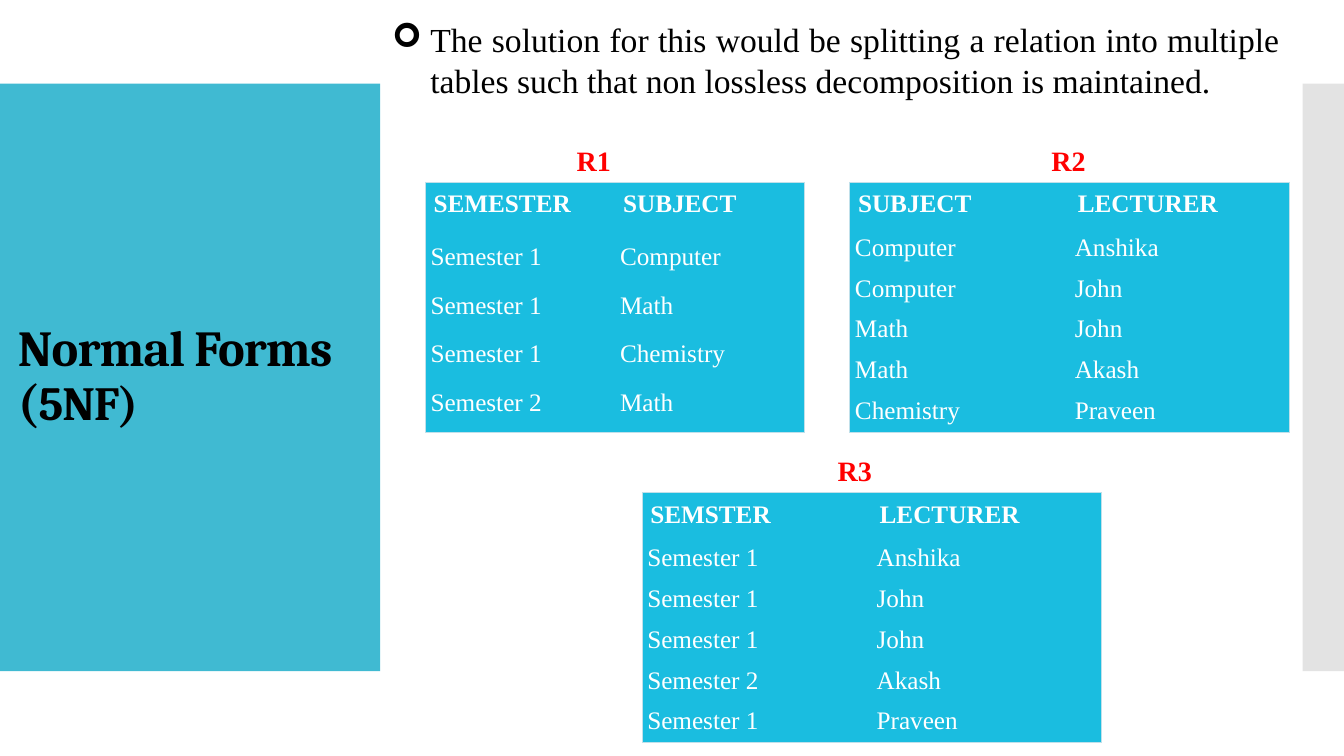
import pptx
import pptx.util
import pptx.dml.color
import pptx.enum.shapes
import pptx.enum.text
import pptx.oxml
import pptx.oxml.ns
from lxml import etree

Inches, Pt = pptx.util.Inches, pptx.util.Pt
RGBColor = pptx.dml.color.RGBColor
ANCHOR, ALIGN = pptx.enum.text.MSO_ANCHOR, pptx.enum.text.PP_ALIGN
qn = pptx.oxml.ns.qn

# Content
TITLE = [("Normal Forms\v(", 36), ("5NF)", 34)]
SOLUTION = ("The solution for this would be splitting a relation into multiple "
            "tables such that non lossless decomposition is maintained.")
# Each relation: name, label left and width, table left, top and width, header height, rows
RELATIONS = [
    ("R1", 5.62, 0.75, 4.22, 1.81, 3.76, 0.55, [
        ("SEMESTER", "SUBJECT"),
        ("Semester 1", "Computer"),
        ("Semester 1", "Math"),
        ("Semester 1", "Chemistry"),
        ("Semester 2", "Math"),
    ]),
    ("R2", 10.33, 0.59, 8.43, 1.81, 4.36, 0.46, [
        ("SUBJECT", "LECTURER"),
        ("Computer", "Anshika"),
        ("Computer", "John"),
        ("Math", "John"),
        ("Math", "Akash"),
        ("Chemistry", "Praveen"),
    ]),
    ("R3", 8.21, 0.69, 6.37, 4.89, 4.55, 0.46, [
        ("SEMSTER", "LECTURER"),
        ("Semester 1", "Anshika"),
        ("Semester 1", "John"),
        ("Semester 1", "John"),
        ("Semester 2", "Akash"),
        ("Semester 1", "Praveen"),
    ]),
]
TABLE_HEIGHT = 2.48
LABEL_HEIGHT = 0.44

# Look
SERIF, HEADING = "Times New Roman", "Cambria"
BLACK = RGBColor(0x00, 0x00, 0x00)
WHITE = RGBColor(0xFF, 0xFF, 0xFF)
RED = RGBColor(0xFF, 0x00, 0x00)
TEAL = RGBColor(0x40, 0xBA, 0xD2)
GRAY = RGBColor(0xC8, 0xC8, 0xC8)
CYAN = RGBColor(0x1A, 0xBD, 0xE0)
BORDER = RGBColor(0xC0, 0xE0, 0xEA)


def add_span(para, text, size=18, font=SERIF, color=BLACK, bold=False, spacing=None):
    """Add formatted text; a vertical tab becomes a line break."""
    for number, line in enumerate(text.split("\v")):
        if number:
            para.add_line_break()
        span = para.add_run()
        span.text = line
        span.font.size = Pt(size)
        span.font.name = font
        span.font.bold = bold
        span.font.color.rgb = color
        if spacing is not None:
            span.font._element.set("spc", str(round(spacing * 100)))


def add_box(page, left, top, width, height, anchor=ANCHOR.TOP):
    box = page.shapes.add_textbox(Inches(left), Inches(top), Inches(width), Inches(height))
    box.text_frame.word_wrap = True
    box.text_frame.vertical_anchor = anchor
    return box.text_frame.paragraphs[0]


def add_panel(page, left, width, color):
    panel = page.shapes.add_shape(pptx.enum.shapes.MSO_SHAPE.RECTANGLE, Inches(left),
                                  Inches(0.83), Inches(width), Inches(5.83))
    panel.shadow.inherit = False
    panel.fill.solid()
    panel.fill.fore_color.rgb = color
    panel.line.fill.background()
    return panel


def set_borders(cell, visible):
    """Draw the visible sides (letters of LRTB) and clear the others."""
    properties = cell._tc.get_or_add_tcPr()
    for place, side in enumerate("LRTB"):
        line = etree.Element(qn("a:ln" + side), w=str(Pt(0.75)))
        if side in visible:
            fill = etree.SubElement(line, qn("a:solidFill"))
            etree.SubElement(fill, qn("a:srgbClr"), val=str(BORDER))
        else:
            etree.SubElement(line, qn("a:noFill"))
        properties.insert(place, line)


def add_relation(page, left, top, width, header_height, rows):
    last_row, last_column = len(rows) - 1, len(rows[0]) - 1
    table = page.shapes.add_table(len(rows), len(rows[0]), Inches(left), Inches(top),
                                  Inches(width), Inches(TABLE_HEIGHT)).table
    table.horz_banding = False
    for column in table.columns:
        column.width = Inches(width / len(rows[0]))
    for r, values in enumerate(rows):
        header = r == 0
        table.rows[r].height = Inches(
            header_height if header else (TABLE_HEIGHT - header_height) / last_row)
        for c, value in enumerate(values):
            cell = table.cell(r, c)
            inset = Inches(0.08 if header else 0.05)
            cell.margin_left = cell.margin_right = inset
            cell.margin_top = cell.margin_bottom = inset
            cell.fill.solid()
            cell.fill.fore_color.rgb = CYAN
            sides = "L" * (c == 0) + "R" * (c == last_column)
            set_borders(cell, sides + "T" * header + "B" * (r == last_row))
            add_span(cell.text_frame.paragraphs[0], value, color=WHITE, bold=header)


deck = pptx.Presentation()
deck.slide_width, deck.slide_height = Inches(13.33), Inches(7.5)
page = deck.slides.add_slide(deck.slide_layouts[6])

# Side panels, the right one half transparent
add_panel(page, 0, 3.77, TEAL)
right_panel = add_panel(page, 12.92, 0.41, GRAY)
gray_fill = right_panel._element.spPr.find(qn("a:solidFill"))
etree.SubElement(gray_fill[0], qn("a:alpha"), val="50000")

# Title
para = add_box(page, 0.08, 1.23, 3.6, 5.03, ANCHOR.MIDDLE)
para.line_spacing = 0.9
for text, size in TITLE:
    add_span(para, text, size=size, font=HEADING, bold=True, spacing=-0.6)

# Bulleted solution
para = add_box(page, 3.79, 0.14, 9, 1.31)
para.alignment = ALIGN.JUSTIFY
indents = para._p.get_or_add_pPr()
indents.set("marL", str(Inches(0.38)))
indents.set("indent", str(Inches(-0.38)))
etree.SubElement(indents, qn("a:buFont"), typeface="Wingdings")
etree.SubElement(indents, qn("a:buChar"), char="➢")
add_span(para, SOLUTION, size=24)

# Relations with their labels
for name, label_left, label_width, left, top, width, header_height, rows in RELATIONS:
    add_relation(page, left, top, width, header_height, rows)
    para = add_box(page, label_left, top - LABEL_HEIGHT, label_width, LABEL_HEIGHT, ANCHOR.MIDDLE)
    add_span(para, name, size=20, color=RED, bold=True)

deck.save("out.pptx")
